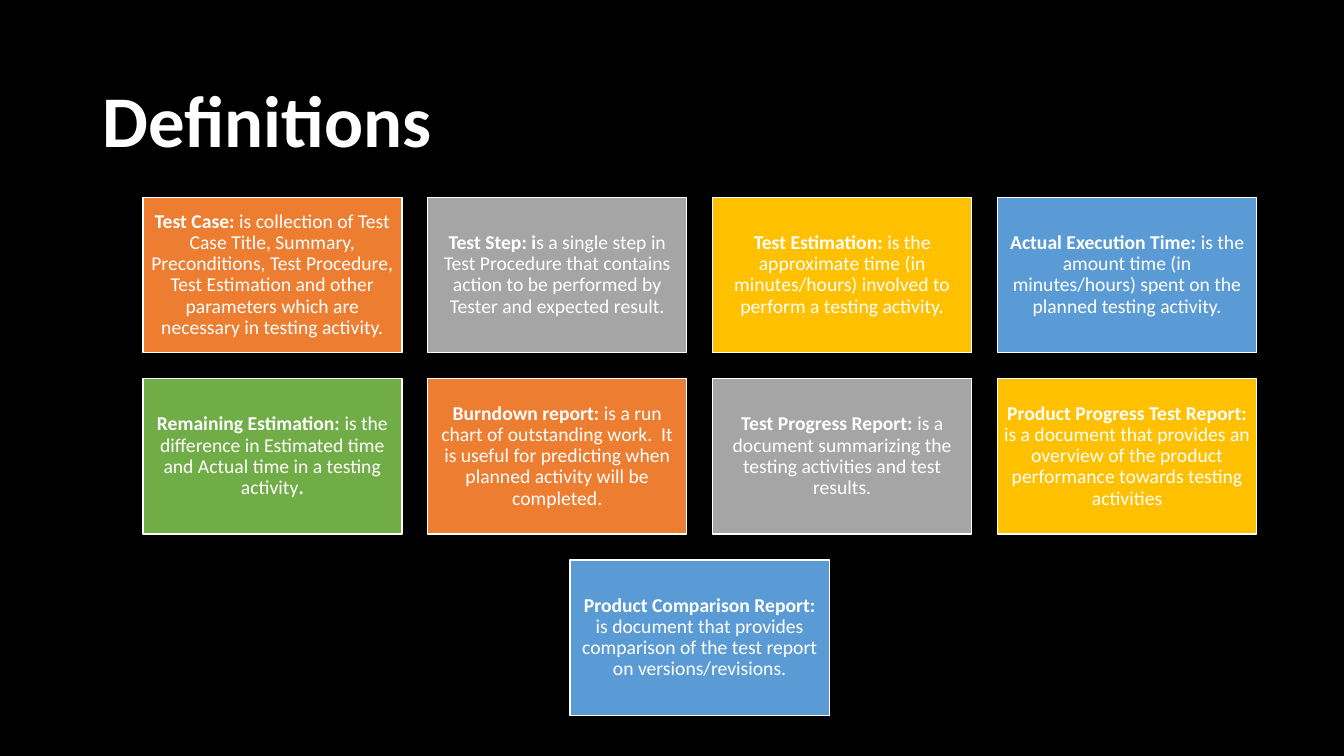
"""Build a slide of testing definitions laid out as a grid of coloured cards."""
from dataclasses import dataclass

import pptx
import pptx.dml.color
import pptx.enum.shapes
import pptx.enum.text
import pptx.util

Cm = pptx.util.Cm


@dataclass(frozen=True)
class Theme:
    font: str = "Calibri"
    background: str = "000000"
    text: str = "FFFFFF"
    cards: tuple = ("ED7D31", "A5A5A5", "FFC000", "5B9BD5", "70AD47")
    title_size: int = 52
    card_size: int = 14
    line_width: int = 1


COLUMNS = 4
CARD_WIDTH, CARD_HEIGHT, GAP = 6.53, 3.92, 0.65
GRID_LEFT, GRID_TOP = 3.6, 4.97
CARD_INSET = 0.15

DEFINITIONS = [
    [("Test Case: ", True),
     ("is collection of Test Case Title, Summary, Preconditions, Test Procedure, "
      "Test Estimation and other parameters which are necessary in testing activity.", False)],
    [("Test Step: i", True),
     ("s a single step in Test Procedure that contains action to be performed by "
      "Tester and expected result.", False)],
    [("Test Estimation: ", True),
     ("is the approximate time (in minutes/hours) involved to perform a testing activity.", False)],
    [("Actual Execution Time: ", True),
     ("is the amount time (in minutes/hours) spent on the planned testing activity.", False)],
    [("Remaining Estimation: ", True),
     ("is the difference in Estimated time and Actual time in a testing activity", False),
     (".", True)],
    [("Burndown report: ", True),
     ("is a run chart of outstanding work.  It is useful for predicting when planned "
      "activity will be completed.", False)],
    [("Test Progress Report: ", True),
     ("is a document summarizing the testing activities and test results.", False)],
    [("Product Progress Test Report: ", True),
     ("is a document that provides an overview of the product performance towards "
      "testing activities", False)],
    [("Product Comparison Report: ", True),
     ("is document that provides comparison of the test report on versions/revisions.", False)],
]


def rgb(value):
    return pptx.dml.color.RGBColor.from_string(value)


def add_text(paragraph, text, *, font, size, color, bold=False):
    run = paragraph.add_run()
    run.text = text
    run.font.name = font
    run.font.size = pptx.util.Pt(size)
    run.font.color.rgb = rgb(color)
    run.font.bold = bold


class SlideBuilder:
    def __init__(self, presentation, theme):
        self.theme = theme
        self.slide = presentation.slides.add_slide(presentation.slide_layouts[5])
        fill = self.slide.background.fill
        fill.solid()
        fill.fore_color.rgb = rgb(theme.background)

    def fill_text(self, shape, runs, size, alignment):
        frame = shape.text_frame
        frame.word_wrap = True
        frame.auto_size = pptx.enum.text.MSO_AUTO_SIZE.NONE
        frame.vertical_anchor = pptx.enum.text.MSO_ANCHOR.MIDDLE
        paragraph = frame.paragraphs[0]
        paragraph.alignment = alignment
        paragraph.line_spacing = 0.9
        for text, bold in runs:
            add_text(paragraph, text, font=self.theme.font, size=size,
                     color=self.theme.text, bold=bold)

    def title(self, text, left, top, width, height):
        shape = self.slide.shapes.title
        shape.left, shape.top = Cm(left), Cm(top)
        shape.width, shape.height = Cm(width), Cm(height)
        self.fill_text(shape, [(text, True)], self.theme.title_size,
                       pptx.enum.text.PP_ALIGN.LEFT)

    def card(self, runs, color, left, top):
        shape = self.slide.shapes.add_shape(
            pptx.enum.shapes.MSO_SHAPE.RECTANGLE,
            Cm(left), Cm(top), Cm(CARD_WIDTH), Cm(CARD_HEIGHT))
        shape.shadow.inherit = False
        shape.fill.solid()
        shape.fill.fore_color.rgb = rgb(color)
        shape.line.color.rgb = rgb(self.theme.text)
        shape.line.width = pptx.util.Pt(self.theme.line_width)
        frame = shape.text_frame
        frame.margin_left = frame.margin_right = Cm(CARD_INSET)
        frame.margin_top = frame.margin_bottom = Cm(CARD_INSET)
        self.fill_text(shape, runs, self.theme.card_size, pptx.enum.text.PP_ALIGN.CENTER)

    def card_grid(self, definitions):
        for index, runs in enumerate(definitions):
            row, column = divmod(index, COLUMNS)
            cards_in_row = min(COLUMNS, len(definitions) - row * COLUMNS)
            column += (COLUMNS - cards_in_row) / 2
            self.card(runs, self.theme.cards[index % len(self.theme.cards)],
                      GRID_LEFT + column * (CARD_WIDTH + GAP),
                      GRID_TOP + row * (CARD_HEIGHT + GAP))


def main():
    presentation = pptx.Presentation()
    presentation.slide_width = Cm(33.87)
    presentation.slide_height = Cm(19.05)
    builder = SlideBuilder(presentation, Theme())
    builder.title("Definitions", 2.33, 1.55, 29.21, 3.15)
    builder.card_grid(DEFINITIONS)
    presentation.save("out.pptx")


if __name__ == "__main__":
    main()
